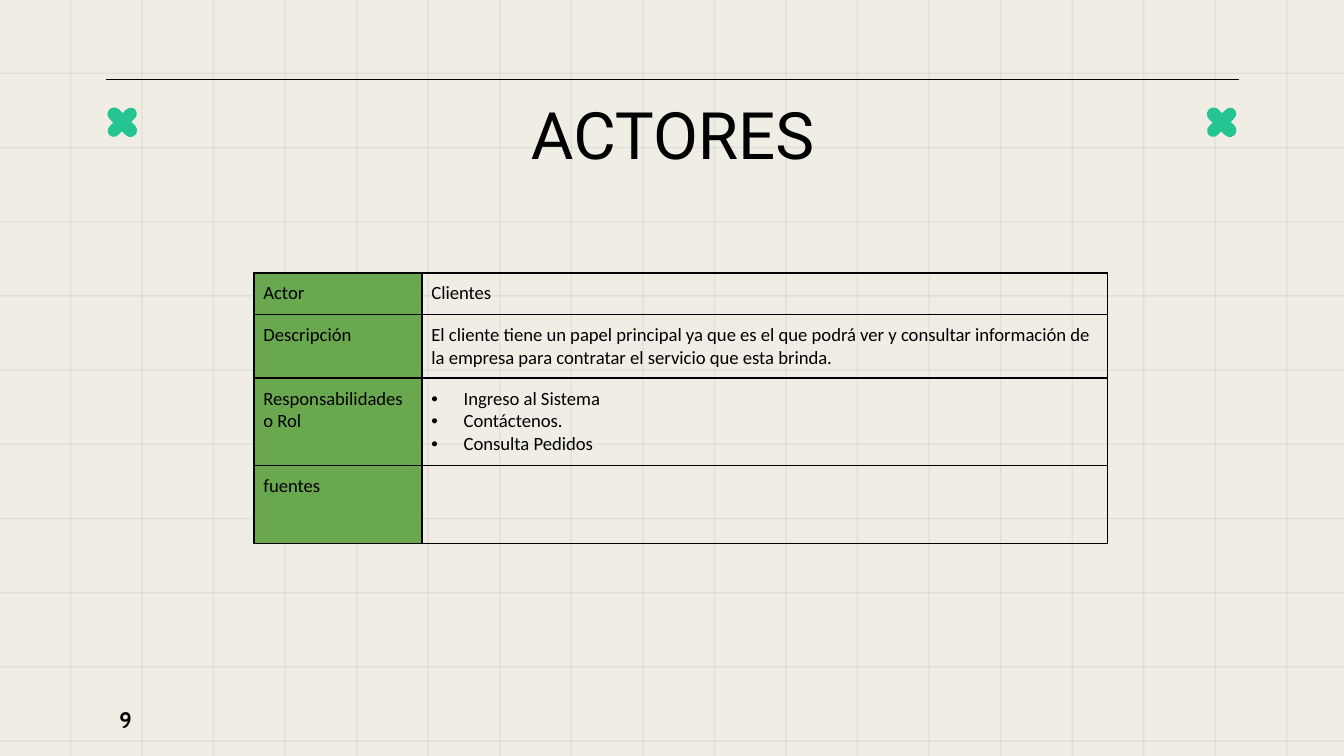
from lxml import etree
from pptx import Presentation
from pptx.dml.color import RGBColor
from pptx.enum.shapes import MSO_CONNECTOR, MSO_SHAPE
from pptx.enum.text import MSO_ANCHOR, MSO_AUTO_SIZE, PP_ALIGN
from pptx.oxml.ns import qn
from pptx.util import Inches, Pt

RECT, ROUND = MSO_SHAPE.RECTANGLE, MSO_SHAPE.ROUNDED_RECTANGLE
STRAIGHT = MSO_CONNECTOR.STRAIGHT
LEFT, CENTER = PP_ALIGN.LEFT, PP_ALIGN.CENTER
TOP, MIDDLE = MSO_ANCHOR.TOP, MSO_ANCHOR.MIDDLE
FIXED = MSO_AUTO_SIZE.NONE
BLACK = RGBColor(0x00, 0x00, 0x00)
CREAM = RGBColor(0xF0, 0xED, 0xE5)
MINT = RGBColor(0x25, 0xC5, 0x93)
GREEN = RGBColor(0x6A, 0xA8, 0x4F)

TITLE = "ACTORES"
PAGE = "9"
# Label, lines of the value, row height
ROWS = [
    ("Actor", ["Clientes"], 0.31),
    ("Descripción", ["El cliente tiene un papel principal ya que es el que podrá ver y "
                     "consultar información de la empresa para contratar el servicio "
                     "que esta brinda."], 0.47),
    ("Responsabilidades o Rol",
     ["Ingreso al Sistema", "Contáctenos.", "Consulta Pedidos"], 0.65),
    ("fuentes", [], 0.58),
]
COLS = (1.25, 5.1)
WIDE = 10
HIGH = WIDE * 9 / 16
SIDE, SPAN = 0.79, 8.43


def sub(parent, tag, **attrs):
    return etree.SubElement(parent, qn(tag), attrs)


def write(frame, lines, size=10, font="Calibri", bold=False, align=LEFT,
          anchor=TOP, inset=0.1, bullet=False):
    frame.word_wrap = True
    frame.vertical_anchor = anchor
    frame.margin_left = frame.margin_right = Inches(inset)
    frame.margin_top = frame.margin_bottom = Inches(inset)
    for i, line in enumerate(lines):
        para = frame.paragraphs[0] if i == 0 else frame.add_paragraph()
        if bullet:
            props = para._p.get_or_add_pPr()
            props.set("marL", str(Inches(0.24)))
            props.set("indent", str(-Inches(0.24)))
            sub(sub(props, "a:buClr"), "a:srgbClr", val=str(BLACK))
            sub(props, "a:buFont", typeface="Arial")
            sub(props, "a:buChar", char="•")
        para.alignment = align
        run = para.add_run()
        run.text = line
        run.font.size, run.font.name, run.font.bold = Pt(size), font, bold
        run.font.color.rgb = BLACK


def block(kind, x, y, w, h, color, alpha=None):
    shape = slide.shapes.add_shape(kind, Inches(x), Inches(y), Inches(w), Inches(h))
    shape.shadow.inherit = False
    shape.fill.solid()
    shape.fill.fore_color.rgb = color
    shape.line.fill.background()
    if alpha:
        tint = shape._element.spPr.find(qn("a:solidFill"))[0]
        sub(tint, "a:alpha", val=str(alpha * 1000))
    return shape


def cross(x, y):
    """Draw two crossed pills centred on x, y."""
    for w, h in ((0.09, 0.27), (0.27, 0.1)):
        pill = block(ROUND, x - w / 2, y - h / 2, w, h, MINT)
        pill.adjustments[0] = 0.5
        pill.rotation = 45


def border(cell):
    props = cell._tc.get_or_add_tcPr()
    for side in ("L", "R", "T", "B"):
        edge = sub(props, "a:ln" + side, w=str(Pt(1)))
        sub(sub(edge, "a:solidFill"), "a:srgbClr", val=str(BLACK))


deck = Presentation()
deck.slide_width, deck.slide_height = Inches(WIDE), Inches(HIGH)
slide = deck.slides.add_slide(deck.slide_layouts[5])
slide.background.fill.solid()
slide.background.fill.fore_color.rgb = CREAM

for i in range(18):
    block(RECT, 0.52 + i * 9.05 / 17, -0.05, 0.01, 5.73, BLACK, alpha=6)
for i in range(10):
    block(RECT, -0.1, 0.54 + i * 4.97 / 9, 10.2, 0.01, BLACK, alpha=6)

rule = slide.shapes.add_connector(STRAIGHT, Inches(SIDE), Inches(0.59),
                                  Inches(SIDE + SPAN), Inches(0.59))
rule.line.color.rgb = BLACK
rule.line.width = Pt(0.75)
sub(rule._element.spPr, "a:effectLst")

page = slide.shapes.add_textbox(Inches(SIDE), Inches(5.14), Inches(0.6), Inches(0.43))
write(page.text_frame, [PAGE], size=12, font="Cabin", bold=True, anchor=MIDDLE)

title = slide.shapes.title
title.left, title.top = Inches(SIDE), Inches(0.6)
title.width, title.height = Inches(SPAN), Inches(0.63)
title.text_frame.auto_size = FIXED
write(title.text_frame, [TITLE], size=35, font="Roboto", align=CENTER)

for x in (0.91, 9.09):
    cross(x, 0.91)

grid = slide.shapes.add_table(len(ROWS), len(COLS), Inches(1.89), Inches(2.03),
                              Inches(sum(COLS)), Inches(sum(r[2] for r in ROWS))).table
grid.first_row = grid.horz_banding = False
for col, width in zip(grid.columns, COLS):
    col.width = Inches(width)
for row, (label, lines, height) in zip(grid.rows, ROWS):
    row.height = Inches(height)
    name, value = row.cells
    for cell, words in ((name, [label]), (value, lines)):
        write(cell.text_frame, words, bullet=len(words) > 1)
        cell.margin_left = cell.margin_right = Inches(0.07)
        cell.margin_top = cell.margin_bottom = Inches(0.07)
        border(cell)
    name.fill.solid()
    name.fill.fore_color.rgb = GREEN
    value.fill.background()

deck.save("out.pptx")
